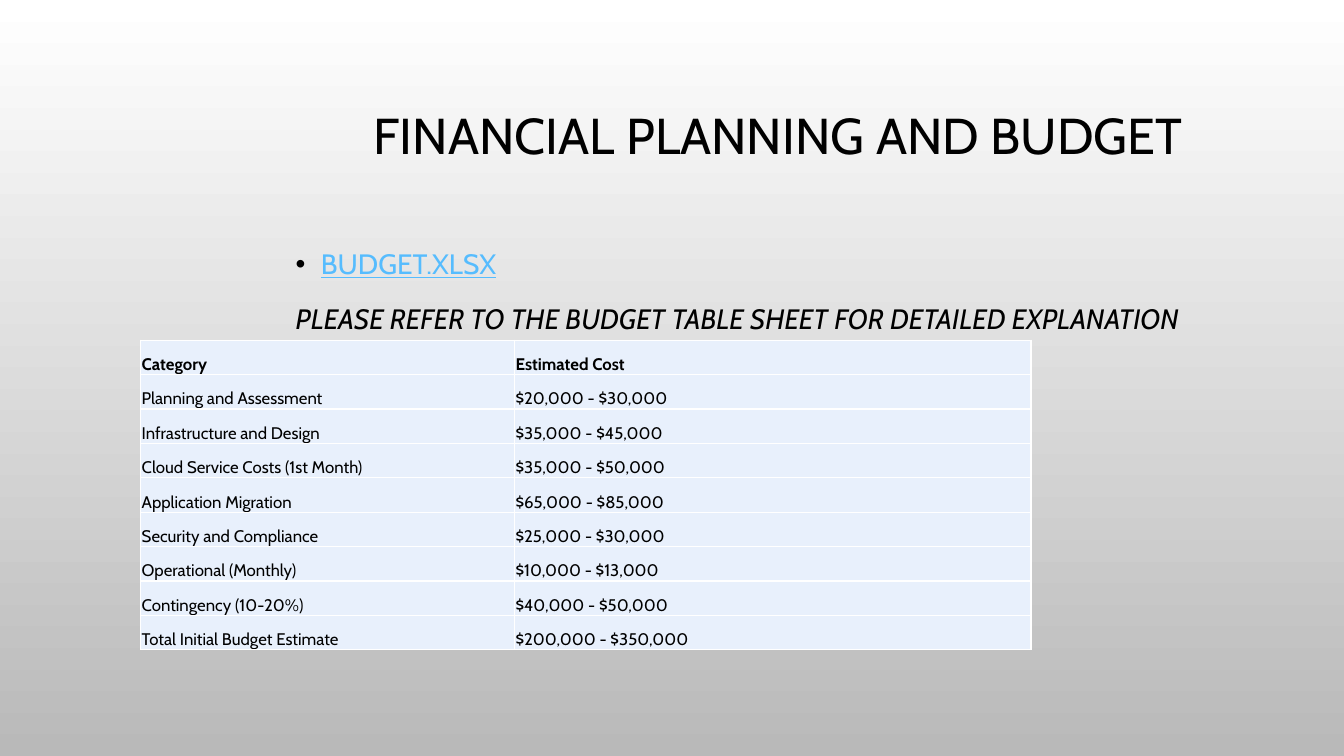
from dataclasses import dataclass

from lxml import etree
from pptx import Presentation
from pptx import util as u
from pptx.dml.color import RGBColor
from pptx.enum import text
from pptx.oxml.ns import qn

EMU_PER_PX = 9525


@dataclass(frozen=True)
class Theme:
    font: str = "Cabin"
    ink: str = "000000"
    link: str = "56BCFE"
    background_top: str = "FFFFFF"
    background_bottom: str = "B9B9B9"
    cell: str = "E8F0FC"
    border: str = "FFFFFF"
    border_width: int = 1
    title_size: int = 36
    body_size: int = 20
    table_size: int = 12


THEME = Theme()

TITLE = "FINANCIAL PLANNING AND BUDGET"
FILE_NAME = "BUDGET.XLSX"
REFERENCE = "PLEASE REFER TO THE BUDGET TABLE SHEET FOR DETAILED EXPLANATION"
BUDGET = [
    ("Category", "Estimated Cost"),
    ("Planning and Assessment", "$20,000 - $30,000"),
    ("Infrastructure and Design", "$35,000 - $45,000"),
    ("Cloud Service Costs (1st Month)", "$35,000 - $50,000"),
    ("Application Migration", "$65,000 - $85,000"),
    ("Security and Compliance", "$25,000 - $30,000"),
    ("Operational (Monthly)", "$10,000 - $13,000"),
    ("Contingency (10-20%)", "$40,000 - $50,000"),
    ("Total Initial Budget Estimate", "$200,000 - $350,000"),
]
COLUMN_WIDTHS = (356, 492)
TABLE_HEIGHT = 295


def px(length):
    return u.Emu(length * EMU_PER_PX)


def place(shape, left, top, width, height):
    shape.left, shape.top = px(left), px(top)
    shape.width, shape.height = px(width), px(height)


def format_runs(paragraph, size, color=THEME.ink, bold=False, italic=False, underline=False):
    for run in paragraph.runs:
        font = run.font
        font.name = THEME.font
        font.size = u.Pt(size)
        font.color.rgb = RGBColor.from_string(color)
        font.bold, font.italic, font.underline = bold, italic, underline


def paint_background(slide):
    fill = slide.background.fill
    fill.gradient()
    fill.gradient_angle = 270
    colors = (THEME.background_top, THEME.background_bottom)
    for position, (stop, color) in enumerate(zip(fill.gradient_stops, colors)):
        stop.position = position
        stop.color.rgb = RGBColor.from_string(color)


def set_bullet(paragraph, character=None, indent=0):
    properties = paragraph._p.get_or_add_pPr()
    properties.set("marL", str(px(indent)))
    properties.set("indent", str(px(-indent)))
    if character is None:
        etree.SubElement(properties, qn("a:buNone"))
        return
    bullet_color = etree.SubElement(properties, qn("a:buClr"))
    etree.SubElement(bullet_color, qn("a:srgbClr"), val=THEME.ink)
    etree.SubElement(properties, qn("a:buChar"), char=character)


def fill_title(title):
    place(title, 273, 65, 936, 134)
    frame = title.text_frame
    frame.text = TITLE
    frame.auto_size = text.MSO_AUTO_SIZE.NONE
    frame.vertical_anchor = text.MSO_ANCHOR.MIDDLE
    paragraph = frame.paragraphs[0]
    paragraph.alignment = text.PP_ALIGN.CENTER
    paragraph.line_spacing = 0.9
    format_runs(paragraph, THEME.title_size)


def fill_body(body):
    place(body, 272, 224, 936, 396)
    frame = body.text_frame
    frame.text = f"{FILE_NAME}\n{REFERENCE}"
    frame.auto_size = text.MSO_AUTO_SIZE.NONE
    frame.vertical_anchor = text.MSO_ANCHOR.TOP
    file_line, reference_line = frame.paragraphs
    set_bullet(file_line, "•", 24)
    set_bullet(reference_line)
    for paragraph, space in ((file_line, 0), (reference_line, 10)):
        paragraph.line_spacing = 1.2
        paragraph.space_before = u.Pt(space)
    format_runs(file_line, THEME.body_size, THEME.link, underline=True)
    format_runs(reference_line, THEME.body_size, italic=True)


def set_borders(cell):
    properties = cell._tc.get_or_add_tcPr()
    for side in ("lnL", "lnR", "lnT", "lnB"):
        line = etree.SubElement(properties, qn(f"a:{side}"), w=str(u.Pt(THEME.border_width)))
        fill = etree.SubElement(line, qn("a:solidFill"))
        etree.SubElement(fill, qn("a:srgbClr"), val=THEME.border)


def fill_cell(cell, content, bold):
    set_borders(cell)
    cell.fill.solid()
    cell.fill.fore_color.rgb = RGBColor.from_string(THEME.cell)
    cell.margin_left = cell.margin_right = cell.margin_top = px(1)
    cell.margin_bottom = 0
    cell.vertical_anchor = text.MSO_ANCHOR.BOTTOM
    cell.text_frame.text = content
    format_runs(cell.text_frame.paragraphs[0], THEME.table_size, bold=bold)


def add_budget_table(slide):
    row_count = len(BUDGET)
    table = slide.shapes.add_table(
        row_count, len(COLUMN_WIDTHS), px(134), px(324), px(sum(COLUMN_WIDTHS)), px(TABLE_HEIGHT)
    ).table
    table.horz_banding = False
    for column, width in zip(table.columns, COLUMN_WIDTHS):
        column.width = px(width)
    for row_index, (row, contents) in enumerate(zip(table.rows, BUDGET)):
        row.height = px(TABLE_HEIGHT) // row_count
        for cell, content in zip(row.cells, contents):
            fill_cell(cell, content, bold=row_index == 0)


def main():
    presentation = Presentation()
    presentation.slide_width = px(1280)
    presentation.slide_height = px(720)
    slide = presentation.slides.add_slide(presentation.slide_layouts[1])
    paint_background(slide)
    fill_title(slide.shapes.title)
    fill_body(slide.placeholders[1])
    add_budget_table(slide)
    presentation.save("out.pptx")


if __name__ == "__main__":
    main()
